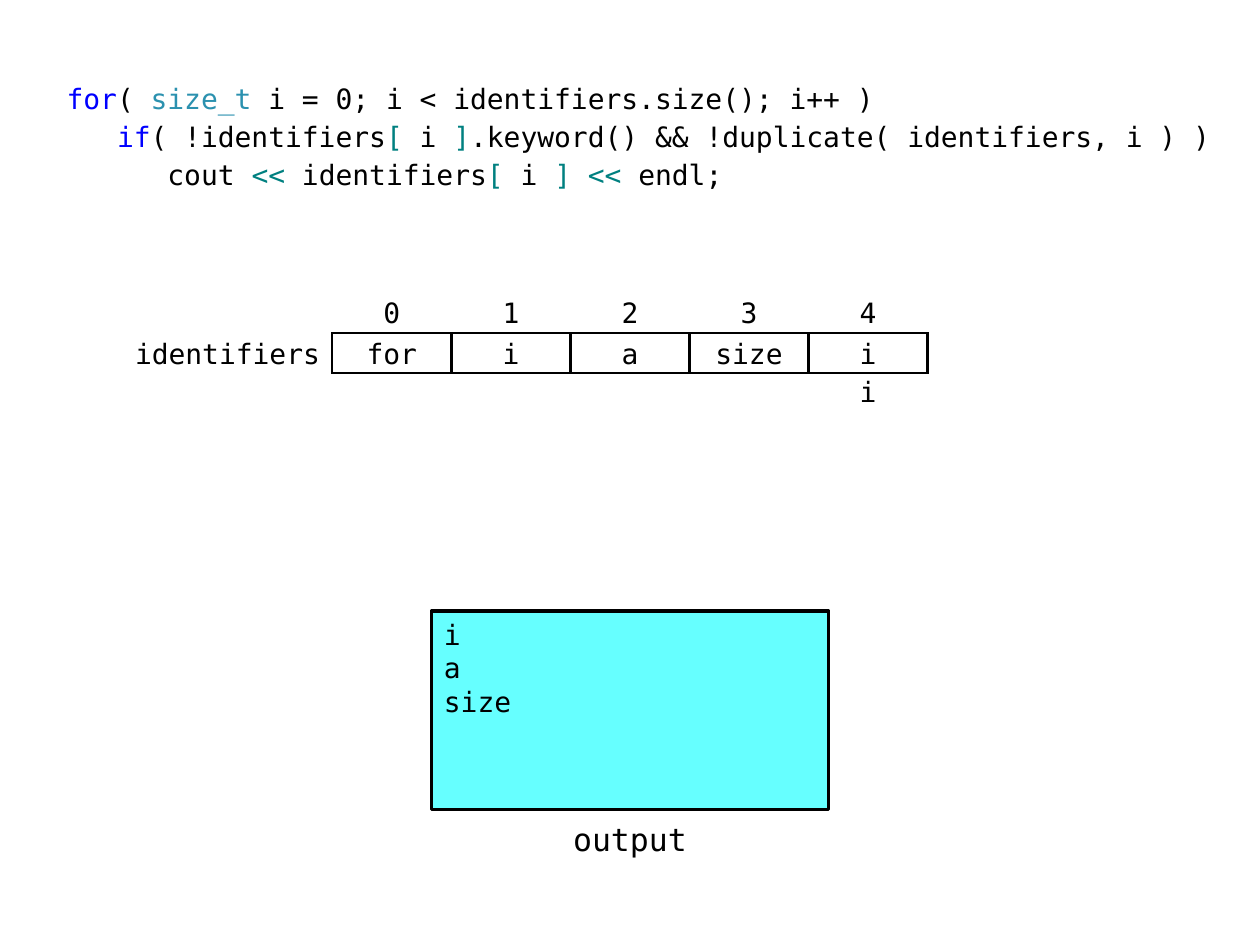
import pptx
import pptx.dml.color
import pptx.enum.shapes
import pptx.enum.text
import pptx.oxml
import pptx.oxml.ns
import pptx.util
from lxml import etree

Inches, Pt = pptx.util.Inches, pptx.util.Pt
Align, Anchor = pptx.enum.text.PP_ALIGN, pptx.enum.text.MSO_ANCHOR

THEME = {
    "font": "DejaVu Sans Mono",
    "body": 16, "caption": 18,
    "text": "000000", "keyword": "0000FF", "type": "2B91AF",
    "operator": "008080", "screen": "66FFFF",
    "cell_line": 1.5, "screen_line": 2,
}
UNIT = 0.315  # grid step in inches
NO_STYLE = "{2D5ABB26-0587-4C30-8999-92F81FD0307C}"


def write(paragraph, pieces, align=Align.LEFT, size=THEME["body"]):
    """Fill a paragraph with (text, colour role) pieces."""
    paragraph.alignment = align
    paragraph.font.name = THEME["font"]
    paragraph.font.size = Pt(size)
    for text, role in pieces:
        run = paragraph.add_run()
        run.text = text
        run.font.color.rgb = pptx.dml.color.RGBColor.from_string(THEME[role])


def set_frame(frame, margins, anchor):
    """Set wrapping, anchor and left, top, right, bottom margins."""
    frame.word_wrap = True
    frame.vertical_anchor = anchor
    (frame.margin_left, frame.margin_top,
     frame.margin_right, frame.margin_bottom) = map(Inches, margins)


deck = pptx.Presentation()
deck.slide_width, deck.slide_height = Inches(10), Inches(7.5)
slide = deck.slides.add_slide(deck.slide_layouts[6])
shapes = slide.shapes

# Code listing
code_lines = [
    [("for", "keyword"), ("( ", "text"), ("size_t", "type"),
     (" i = 0; i < identifiers.size(); i++ )", "text")],
    [("   ", "text"), ("if", "keyword"), ("( !identifiers", "text"),
     ("[", "operator"), (" i ", "text"), ("]", "operator"),
     (".keyword() && !duplicate( identifiers, i ) )", "text")],
    [("      cout ", "text"), ("<<", "operator"), (" identifiers", "text"),
     ("[", "operator"), (" i ", "text"), ("] <<", "operator"),
     (" endl;", "text")],
]
code = shapes.add_textbox(Inches(0.43), Inches(0.6),
                          Inches(9.29), Inches(3 * UNIT)).text_frame
set_frame(code, (0.1, 0.05, 0, 0.05), Anchor.TOP)
for number, pieces in enumerate(code_lines):
    line = code.add_paragraph() if number else code.paragraphs[0]
    line.space_before = Pt(2.4)
    write(line, pieces)

# Vector of identifiers: indices, values, and the current duplicate
vector_rows = [
    ["0", "1", "2", "3", "4"],
    ["for", "i", "a", "size", "i"],
    ["", "", "", "", "i"],
]
vector_width = 5 * 3 * UNIT
vector_left, vector_top = (10 - vector_width) / 2, 2.33
vector = shapes.add_table(3, 5, Inches(vector_left), Inches(vector_top),
                          Inches(vector_width), Inches(3 * UNIT)).table
vector.first_row = vector.horz_banding = False
vector._tbl.tblPr.find(pptx.oxml.ns.qn("a:tableStyleId")).text = NO_STYLE
for column in vector.columns:
    column.width = Inches(3 * UNIT)

row_sides = [["lnB"], ["lnL", "lnR", "lnT", "lnB"], ["lnT"]]
for r, (values, sides) in enumerate(zip(vector_rows, row_sides)):
    vector.rows[r].height = Inches(UNIT)
    for c, value in enumerate(values):
        cell = vector.cell(r, c)
        cell.vertical_anchor = Anchor.MIDDLE
        cell.margin_left = cell.margin_right = Inches(0.1)
        cell.margin_top = Inches(0.02 if r == 1 else 0)
        cell.margin_bottom = 0
        write(cell.text_frame.paragraphs[0],
              [(value, "text")] if value else [], Align.CENTER)
        for side in sides:
            border = etree.SubElement(
                cell._tc.get_or_add_tcPr(), pptx.oxml.ns.qn("a:" + side),
                w=str(Pt(THEME["cell_line"])))
            ink = etree.SubElement(border, pptx.oxml.ns.qn("a:solidFill"))
            etree.SubElement(ink, pptx.oxml.ns.qn("a:srgbClr"),
                             val=THEME["text"])
        cell.fill.background()

# Output screen
screen_width, screen_top = 10 * UNIT, 4.85
screen = shapes.add_shape(
    pptx.enum.shapes.MSO_SHAPE.RECTANGLE,
    Inches((10 - screen_width) / 2), Inches(screen_top),
    Inches(screen_width), Inches(5 * UNIT))
screen.shadow.inherit = False
screen.fill.solid()
screen.fill.fore_color.rgb = pptx.dml.color.RGBColor.from_string(THEME["screen"])
screen.line.color.rgb = pptx.dml.color.RGBColor.from_string(THEME["text"])
screen.line.width = Pt(THEME["screen_line"])
set_frame(screen.text_frame, (0.1, 0.05, 0.1, 0.05), Anchor.TOP)
for number, word in enumerate(["i", "a", "size"]):
    line = (screen.text_frame.add_paragraph() if number
            else screen.text_frame.paragraphs[0])
    write(line, [(word, "text")])

# Labels: vector name and screen caption
labels = [
    ("identifiers", vector_left - 5 * UNIT, vector_top + UNIT, 5 * UNIT, UNIT,
     0, Align.RIGHT, THEME["body"]),
    ("output", 5 - 2 * UNIT, screen_top + 5 * UNIT, 4 * UNIT, 1.5 * UNIT,
     0.1, Align.CENTER, THEME["caption"]),
]
for text, left, top, width, height, inset, align, size in labels:
    label = shapes.add_textbox(*map(Inches, (left, top, width, height))).text_frame
    set_frame(label, (inset, 0, 0.1, 0), Anchor.MIDDLE)
    write(label.paragraphs[0], [(text, "text")], align, size)

deck.save("out.pptx")
